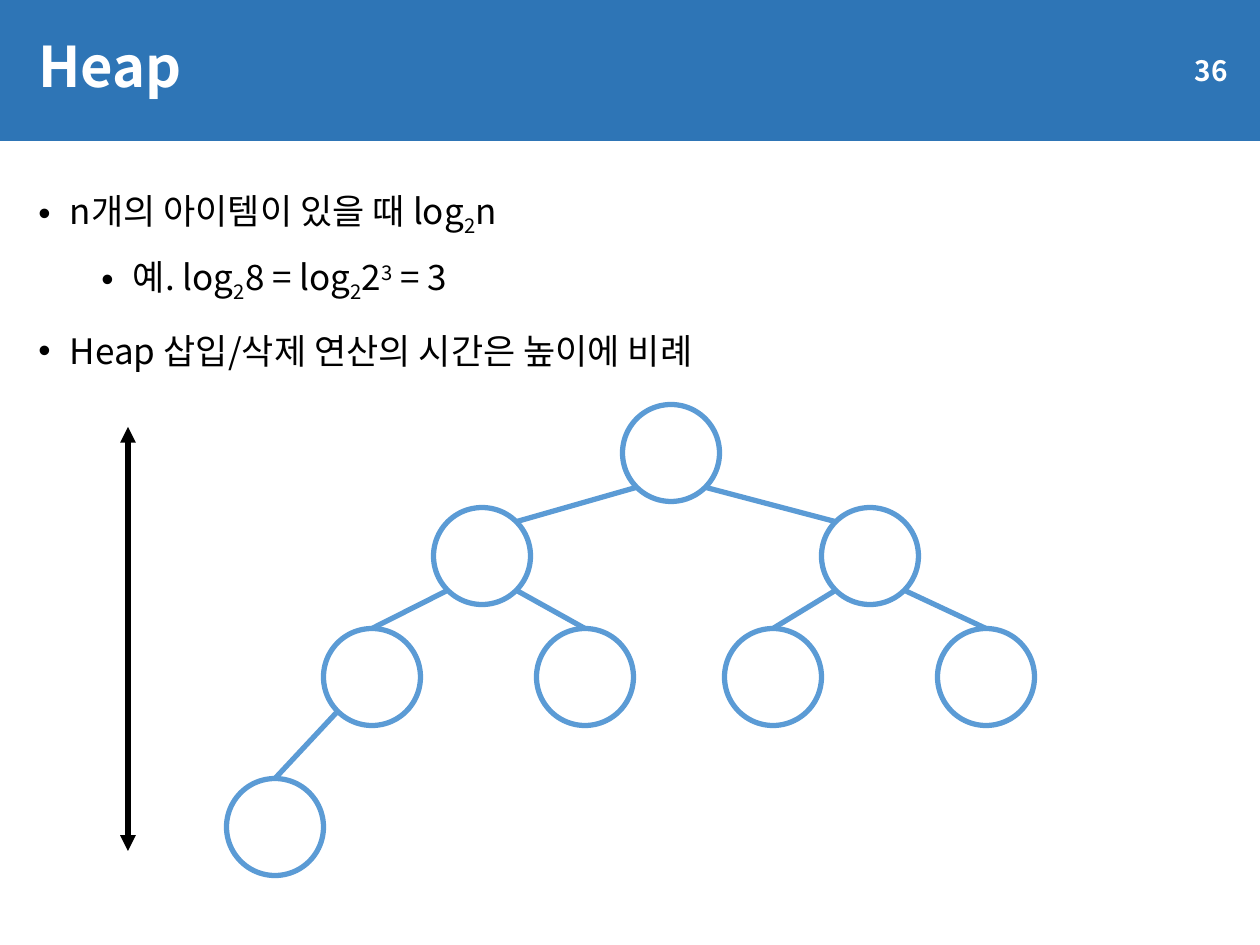
"""Build the slide on heap height and the cost of heap operations."""
import math

import pptx
import pptx.chart.data
import pptx.dml.color
import pptx.enum.shapes
import pptx.enum.text
import pptx.oxml.ns
import pptx.util
from lxml import etree

TITLE, PAGE = "Heap", "36"
SUB, SUP = -25000, 30000
BODY = [
    (0, 0, [("n개의 아이템이 있을 때 log", 0), ("2", SUB), ("n", 0)]),
    (1, 5, [("예. log", 0), ("2", SUB), ("8 = log", 0), ("2", SUB),
            ("2", 0), ("3", SUP), (" = 3", 0)]),
    (0, 10, [("Heap 삽입/삭제 연산의 시간은 높이에 비례", 0)]),
]
NODES = [(671, 453), (482, 556), (870, 556), (372, 677),
         (585, 677), (773, 677), (986, 677), (275, 827)]
SIZE = 97
ARROW = (128, 427, 128, 851)
FONT = "Noto Sans CJK KR"
BLUE, LIGHT, WHITE, BLACK = "2E75B6", "5B9BD5", "FFFFFF", "000000"
SHAPE = pptx.enum.shapes.MSO_SHAPE
ALIGN = pptx.enum.text.PP_ALIGN
ANCHOR = pptx.enum.text.MSO_ANCHOR


def px(num):
    return round(num * 914400 / 126)


def color(code):
    return pptx.dml.color.RGBColor.from_string(code)


def add(parent, tag, **attrs):
    node = etree.SubElement(parent, pptx.oxml.ns.qn(tag))
    for key, val in attrs.items():
        node.set(key, val)
    return node


def style(run, size, code, bold=False):
    font = run.font
    font.size, font.bold, font.name = pptx.util.Pt(size), bold, FONT
    font.color.rgb = color(code)
    add(run._r.get_or_add_rPr(), "a:ea", typeface=FONT)


def draw(slide, kind, box, fill, line=None):
    shape = slide.shapes.add_shape(kind, *map(px, box))
    shape.shadow.inherit = False
    shape.fill.solid()
    shape.fill.fore_color.rgb = color(fill)
    if line:
        shape.line.color.rgb = color(line)
        shape.line.width = pptx.util.Pt(3)
    else:
        shape.line.fill.background()
    return shape


def label(slide, box, text, size, align):
    frame = draw(slide, SHAPE.RECTANGLE, box, BLUE).text_frame
    frame.text = text
    frame.word_wrap = True
    frame.vertical_anchor = ANCHOR.MIDDLE
    para = frame.paragraphs[0]
    para.alignment = align
    style(para.runs[0], size, WHITE, True)
    return para


def link(slide, ends, code):
    line = slide.shapes.add_connector(
        pptx.enum.shapes.MSO_CONNECTOR.STRAIGHT, *map(px, ends))
    line.line.color.rgb = color(code)
    line.line.width = pptx.util.Pt(3)
    add(line._element.spPr, "a:effectLst")
    return line


def write(slide):
    frame = slide.shapes.add_textbox(*map(px, (26, 174, 1212, 751))).text_frame
    frame.word_wrap = True
    for num, (level, gap, parts) in enumerate(BODY):
        para = frame.paragraphs[0] if num == 0 else frame.add_paragraph()
        para.level = level
        props = para._p.get_or_add_pPr()
        props.set("marL", str(pptx.util.Inches(0.25 + 0.5 * level)))
        props.set("indent", str(pptx.util.Inches(-0.25)))
        add(props, "a:buFont", typeface="Arial")
        add(props, "a:buChar", char="•")
        para.line_spacing = 1.2
        para.space_before = pptx.util.Pt(gap)
        for text, base in parts:
            run = para.add_run()
            run.text = text
            style(run, 20, BLACK)
            if base:
                run._r.get_or_add_rPr().set("baseline", str(base))


def tree(slide):
    half, diag = SIZE / 2, SIZE / 2 * math.sqrt(0.5)
    discs = [draw(slide, SHAPE.OVAL, (x - half, y - half, SIZE, SIZE),
                  WHITE, LIGHT) for x, y in NODES]
    for num in range(1, len(NODES)):
        x, y = NODES[num]
        top, left = NODES[(num - 1) // 2]
        side = 1 if x > top else -1
        end = (top + side * diag, left + diag)
        if num < 3:
            link(slide, (x - side * diag, y - diag, *end), LIGHT)
        else:
            edge = link(slide, (x, y - half, *end), LIGHT)
            edge.begin_connect(discs[num], 0)


def main():
    deck = pptx.Presentation()
    deck.slide_width, deck.slide_height = px(1260), px(945)
    slide = deck.slides.add_slide(deck.slide_layouts[6])
    draw(slide, SHAPE.RECTANGLE, (0, 0, 1260, 141), BLUE)
    title = label(slide, (26, 16, 1212, 107), TITLE, 32, ALIGN.LEFT)
    title.line_spacing = 0.9
    write(slide)
    label(slide, (1070, 45, 170, 50), PAGE, 16, ALIGN.RIGHT)
    tree(slide)
    height = link(slide, ARROW, BLACK)
    stroke = height.line._get_or_add_ln()
    add(stroke, "a:headEnd", type="triangle")
    add(stroke, "a:tailEnd", type="triangle")
    deck.save("out.pptx")


if __name__ == "__main__":
    main()
